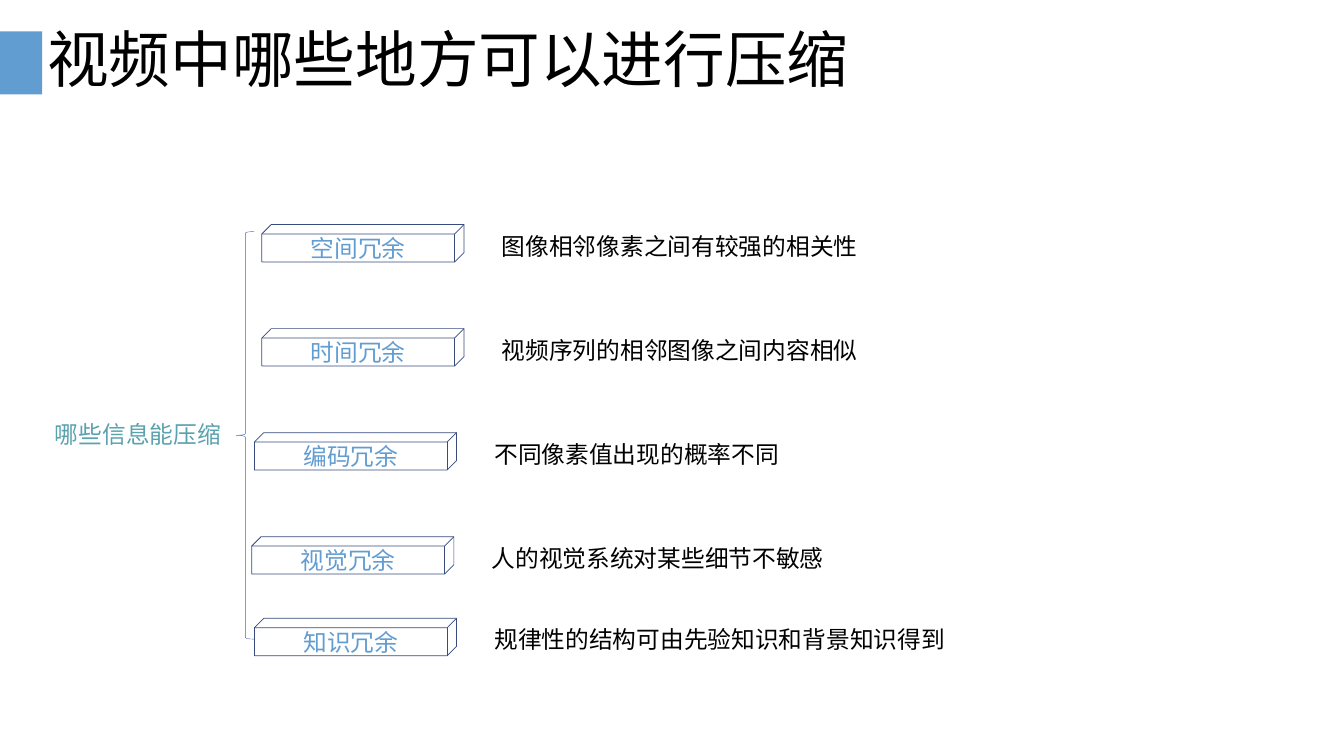
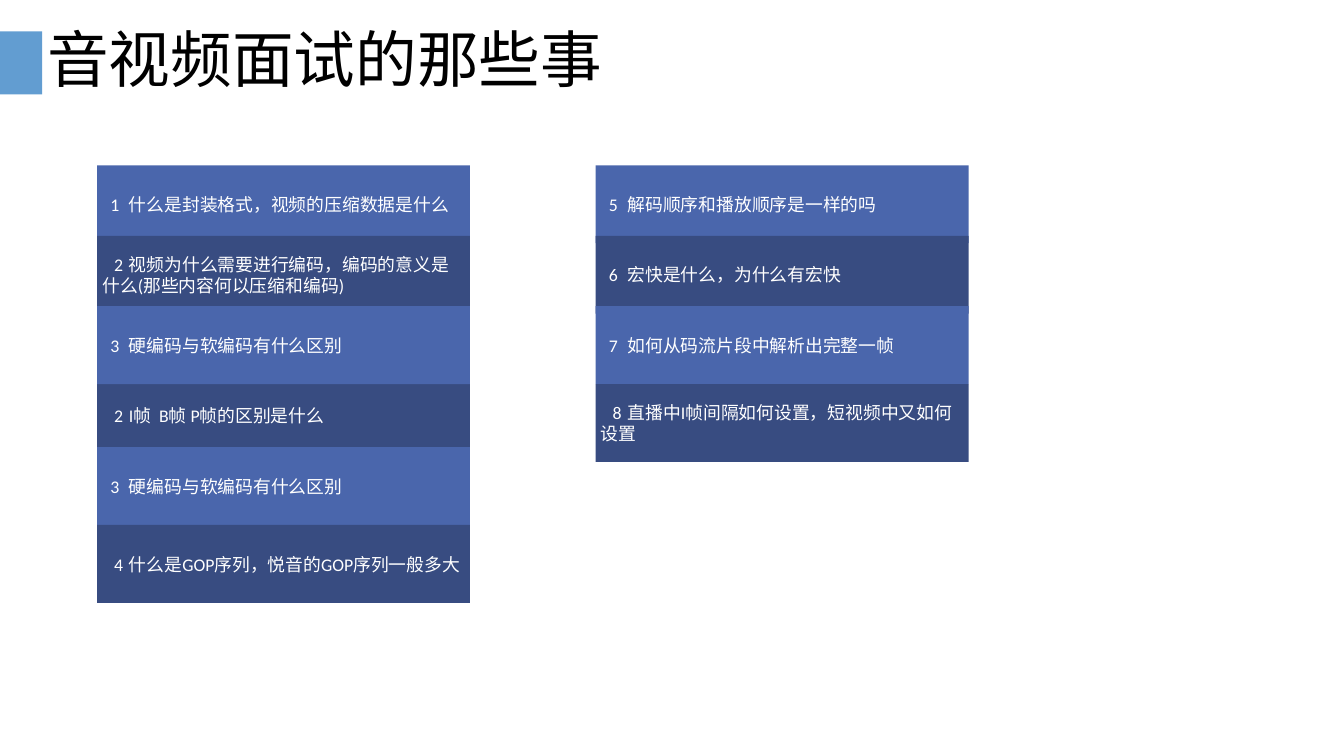
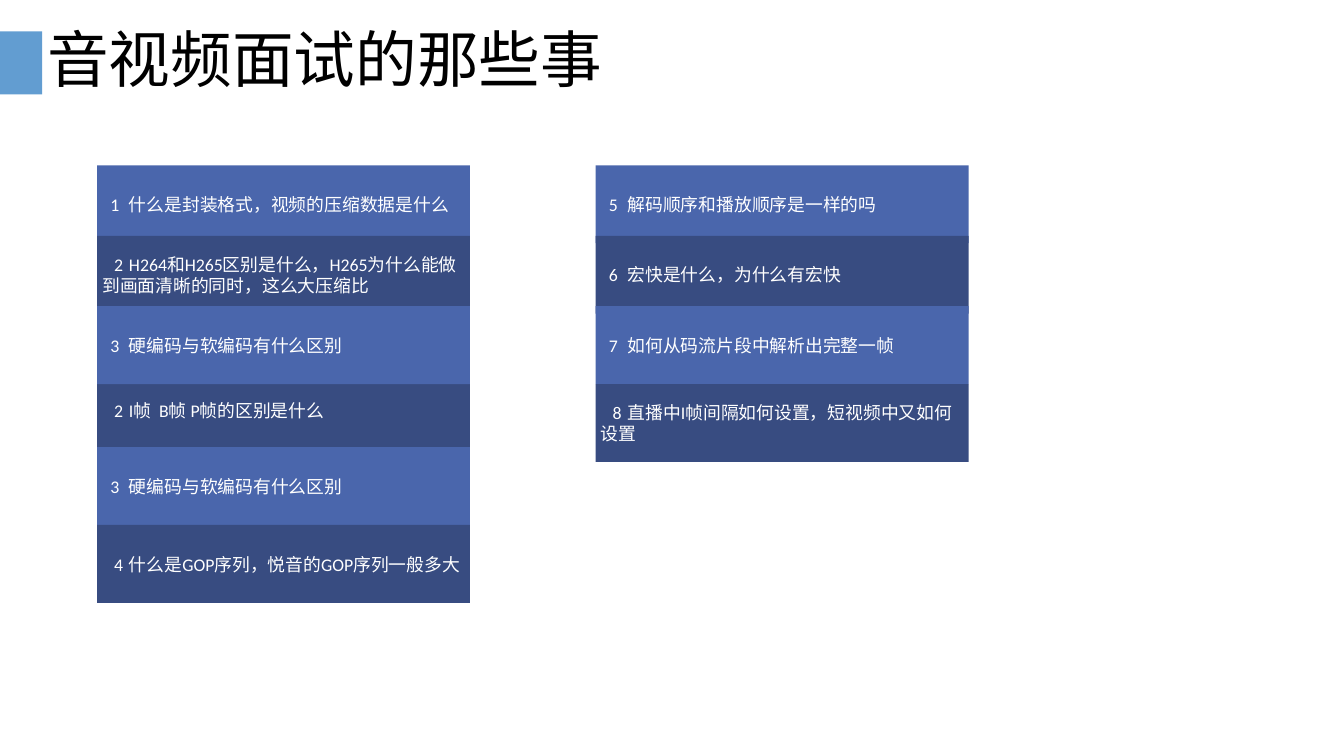
from lxml import etree
from pptx import Presentation
from pptx import util as u
from pptx.dml.color import RGBColor
from pptx.enum import shapes, text
from pptx.oxml.ns import qn

ACCENT, BLUE, NAVY = "629DD1", "4A66AC", "384C81"
OUTLINE, TEAL, BLACK, WHITE = "374B7F", "5AA2AE", "000000", "FFFFFF"
LATIN, HAN = "Calibri", "Noto Sans CJK SC"
ROW_HEIGHT, ROW_STEP = 1.46, 1.32
SPACED = dict(indent=0.15, tab=0.54)
WIDE = dict(indent=0.22, tab=0.61)
TIGHT = dict(indent=0.22, tab=0.54)

REDUNDANCIES = [
    (4.91, 4.21, "空间冗余", "图像相邻像素之间有较强的相关性"),
    (4.91, 6.16, "时间冗余", "视频序列的相邻图像之间内容相似"),
    (4.77, 8.11, "编码冗余", "不同像素值出现的概率不同"),
    (4.72, 10.06, "视觉冗余", "人的视觉系统对某些细节不敏感"),
    (4.77, 11.59, "知识冗余", "规律性的结构可由先验知识和背景知识得到"),
]
CODING_MEANING = ("视频为什么需要进行编码，编码的意义是什么(那些内容何以压缩和编码)", WIDE)
CODEC_DIFFERENCE = ("H264和H265区别是什么，H265为什么能做到画面清晰的同时，这么大压缩比", TIGHT)
HARD_SOFT = ("3", "硬编码与软编码有什么区别", SPACED)
LATER_QUESTIONS = [
    ("5", "解码顺序和播放顺序是一样的吗", SPACED),
    ("6", "宏快是什么，为什么有宏快", SPACED),
    ("7", "如何从码流片段中解析出完整一帧", SPACED),
    ("8", "直播中I帧间隔如何设置，短视频中又如何设置", WIDE),
]


def color(value):
    """Turn a hex string into a colour."""
    return RGBColor.from_string(value)


def box(left, top, width, height):
    """Turn four lengths in inches into a position and size."""
    return [u.Inches(length) for length in (left, top, width, height)]


def write(shape, words, size, ink, font=LATIN, indent=None, tab=None, anchor="MIDDLE", **formats):
    """Write one paragraph into a shape."""
    frame = shape.text_frame
    frame.word_wrap = True
    frame.vertical_anchor = getattr(text.MSO_ANCHOR, anchor)
    paragraph = frame.paragraphs[0]
    run = paragraph.add_run()
    run.text = words
    for name, value in formats.items():
        setattr(paragraph, name, value)
    if tab:
        properties = paragraph._p.get_or_add_pPr()
        properties.set("marL", "0")
        properties.set("indent", str(u.Inches(indent)))
        stops = etree.SubElement(properties, qn("a:tabLst"))
        etree.SubElement(stops, qn("a:tab"), pos=str(u.Inches(tab)), algn="l")
    for name, value in dict(size=u.Pt(size), name=font).items():
        setattr(run.font, name, value)
    run.font.color.rgb = color(ink)
    etree.SubElement(run._r.get_or_add_rPr(), qn("a:ea"), typeface=HAN)


def label(slide, place, words, size, ink, inset=None, **formats):
    """Add a text box."""
    area = slide.shapes.add_textbox(*box(*place))
    if inset is not None:
        for side in ("left", "top", "right", "bottom"):
            setattr(area.text_frame, f"margin_{side}", u.Inches(inset))
    write(area, words, size, ink, **formats)


def block(slide, kind, place, fill=None, line=None, weight=1):
    """Add a preset shape without a shadow."""
    shape = slide.shapes.add_shape(kind, *box(*place))
    shape.shadow.inherit = False
    if fill:
        shape.fill.solid()
        shape.fill.fore_color.rgb = color(fill)
    else:
        shape.fill.background()
    if line:
        shape.line.color.rgb = color(line)
        shape.line.width = u.Pt(weight)
    else:
        shape.line.fill.background()
    return shape


def titled_slide(deck, title):
    """Start a slide with the side mark and its title."""
    slide = deck.slides.add_slide(deck.slide_layouts[6])
    block(slide, shapes.MSO_SHAPE.RECTANGLE, (0, 0.59, 0.79, 1.18), ACCENT)
    label(slide, (0.79, 0.57, 23.62, 1.2), title, 83.2, BLACK, line_spacing=0.9)
    return slide


def redundancy(slide, left, top, name, meaning):
    """Place a named cube with its explanation to the right."""
    cube = block(slide, shapes.MSO_SHAPE.CUBE, (left, top, 3.79, 0.7), line=OUTLINE)
    write(cube, name, 32, ACCENT, font=HAN, alignment=text.PP_ALIGN.CENTER)
    label(slide, (left + 4.45, top - 0.19, 15.05, 0.82), meaning, 32, BLACK,
          inset=0.05, font=HAN, anchor="TOP", line_spacing=1.5)


def compression_slide(deck):
    """Build the slide on what can be compressed."""
    slide = titled_slide(deck, "视频中哪些地方可以进行压缩")
    label(slide, (0.98, 7.82, 4.02, 0.64), "哪些信息能压缩", 32, TEAL, inset=0.05, anchor="TOP")
    block(slide, shapes.MSO_SHAPE.LEFT_BRACE, (4.43, 4.34, 0.34, 7.64), line=BLUE, weight=0.5)
    for entry in REDUNDANCIES:
        redundancy(slide, *entry)


def question_column(slide, left, top, questions, order, shifts):
    """Stack overlapping question bars, the last one set clear of the one before."""
    last = len(questions) - 1
    for index in order:
        number, question, spacing = questions[index]
        offset = index * ROW_STEP + shifts.get(index, 0)
        if index == last:
            offset += ROW_HEIGHT - ROW_STEP
        bar = block(slide, shapes.MSO_SHAPE.RECTANGLE, (left, top + offset, 6.99, ROW_HEIGHT),
                    NAVY if index % 2 else BLUE)
        write(bar, f"{number}\t{question}", 24, WHITE, alignment=text.PP_ALIGN.LEFT, **spacing)


def interview_slide(deck, second_question, shifts):
    """Build a slide with two columns of interview questions."""
    slide = titled_slide(deck, "音视频面试的那些事")
    first_questions = [
        ("1", "什么是封装格式，视频的压缩数据是什么", SPACED),
        ("2", *second_question),
        HARD_SOFT,
        ("2", "I帧  B帧 P帧的区别是什么", TIGHT),
        HARD_SOFT,
        ("4", "什么是GOP序列，悦音的GOP序列一般多大", WIDE),
    ]
    question_column(slide, 1.82, 3.1, first_questions, (0, 3, 4, 5, 1, 2), shifts)
    question_column(slide, 11.17, 3.1, LATER_QUESTIONS, range(4), {})


def main():
    """Build and save the presentation."""
    deck = Presentation()
    deck.slide_width, deck.slide_height = u.Inches(25.2), u.Inches(14.17)
    compression_slide(deck)
    interview_slide(deck, CODING_MEANING, {})
    interview_slide(deck, CODEC_DIFFERENCE, {3: -0.09})
    deck.save("out.pptx")


if __name__ == "__main__":
    main()
